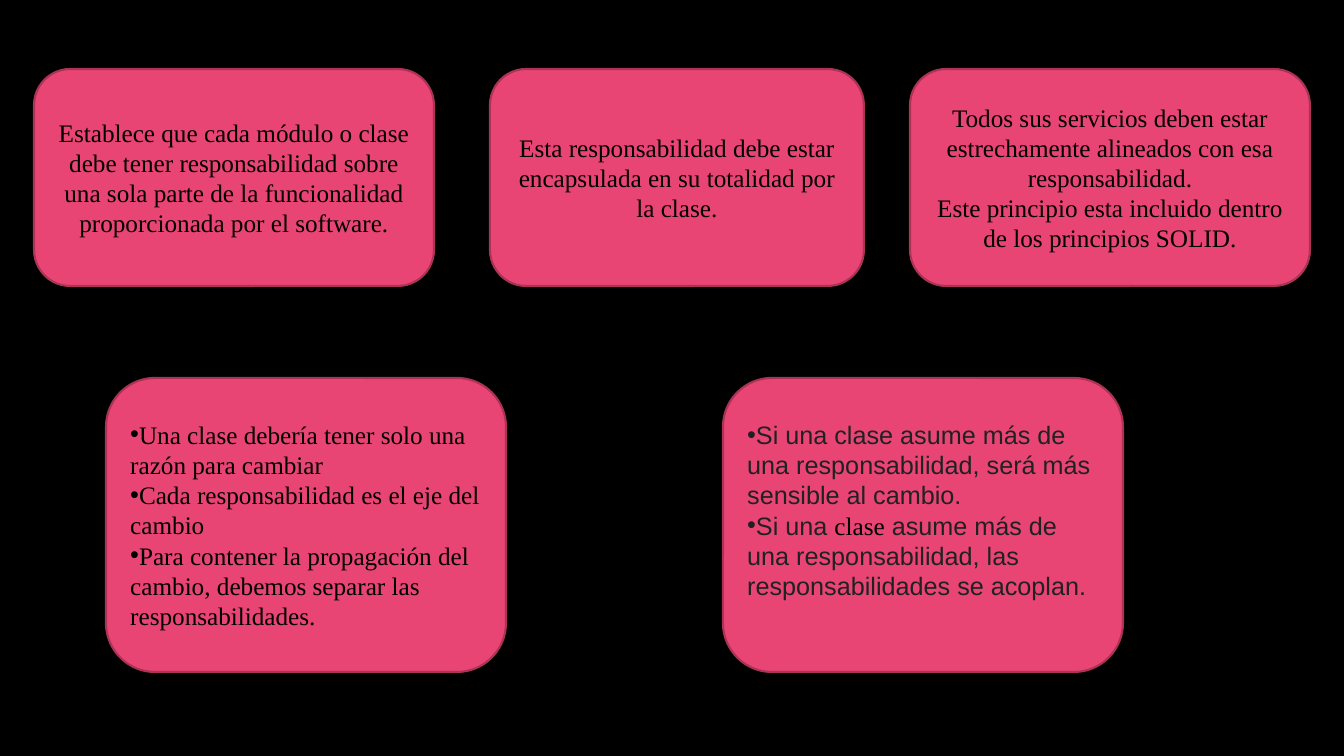
from pptx import Presentation
from pptx.dml.color import RGBColor
from pptx.enum.shapes import MSO_SHAPE
from pptx.enum.text import MSO_ANCHOR, PP_ALIGN
from pptx.oxml import parse_xml
from pptx.oxml.ns import nsdecls
from pptx.util import Emu, Pt

PX = 914400 / 100.8
SERIF = {"name": "Times New Roman", "size": Pt(18)}
SANS = {"name": "Arial", "size": Pt(18)}
BLACK, CHARCOAL = "000000", "202122"
PINK, DARK_PINK = "E84574", "AC3356"


def px(length):
    return Emu(round(length * PX))


def color(value):
    return RGBColor.from_string(value)


presentation = Presentation()
presentation.slide_width, presentation.slide_height = px(1344), px(756)
slide = presentation.slides.add_slide(presentation.slide_layouts[6])
slide.background.fill.solid()
slide.background.fill.fore_color.rgb = color(BLACK)

# Rows of cards: top, height, bulleted
definition_row = (69, 217, False)
reasons_row = (378, 294, True)

# Cards: row, left, width, bottom inset, paragraphs made of (text, font, color) runs
cards = [
    (definition_row, 34, 400, 5, [
        [("Establece que cada módulo o clase debe tener responsabilidad sobre una sola "
          "parte de la funcionalidad proporcionada por el software.", SERIF, BLACK)],
    ]),
    (definition_row, 490, 374, 5, [
        [("Esta responsabilidad debe estar encapsulada en su totalidad por la clase.",
          SERIF, BLACK)],
    ]),
    (definition_row, 910, 400, 5, [
        [("Todos sus servicios deben estar estrechamente alineados con esa "
          "responsabilidad.", SERIF, BLACK)],
        [("Este principio esta incluido dentro de los principios SOLID.", SERIF, BLACK)],
    ]),
    (reasons_row, 106, 400, 5, [
        [("Una clase debería tener solo una razón para cambiar", SERIF, BLACK)],
        [("Cada responsabilidad es el eje del cambio", SERIF, BLACK)],
        [("Para contener la propagación del cambio, debemos separar las "
          "responsabilidades.", SERIF, BLACK)],
    ]),
    (reasons_row, 723, 400, 35, [
        [("Si una clase asume más de una responsabilidad, será más sensible al cambio.",
          SANS, CHARCOAL)],
        [("Si una ", SANS, CHARCOAL), ("clase", SERIF, BLACK),
         (" asume más de una responsabilidad, las responsabilidades se acoplan.",
          SANS, CHARCOAL)],
    ]),
]

for (top, height, bulleted), left, width, bottom_inset, paragraphs in cards:
    # Rounded card
    card = slide.shapes.add_shape(
        MSO_SHAPE.ROUNDED_RECTANGLE, px(left), px(top), px(width), px(height))
    card.shadow.inherit = False
    card.fill.solid()
    card.fill.fore_color.rgb = color(PINK)
    card.line.color.rgb = color(DARK_PINK)
    card.line.width = Pt(1.5)

    # Card text
    frame = card.text_frame
    frame.word_wrap = True
    frame.vertical_anchor = MSO_ANCHOR.MIDDLE
    frame.margin_bottom = px(bottom_inset)
    for index, runs in enumerate(paragraphs):
        paragraph = frame.add_paragraph() if index else frame.paragraphs[0]
        paragraph.alignment = PP_ALIGN.LEFT if bulleted else PP_ALIGN.CENTER
        if bulleted:
            properties = paragraph._p.get_or_add_pPr()
            properties.set("marL", "0")
            properties.set("indent", "0")
            for tag in ('buFont typeface="Arial"', 'buChar char="•"'):
                properties.append(parse_xml(f"<a:{tag} {nsdecls('a')}/>"))
        for text, font_format, text_color in runs:
            run = paragraph.add_run()
            run.text = text
            for attribute, value in font_format.items():
                setattr(run.font, attribute, value)
            run.font.color.rgb = color(text_color)

presentation.save("out.pptx")
